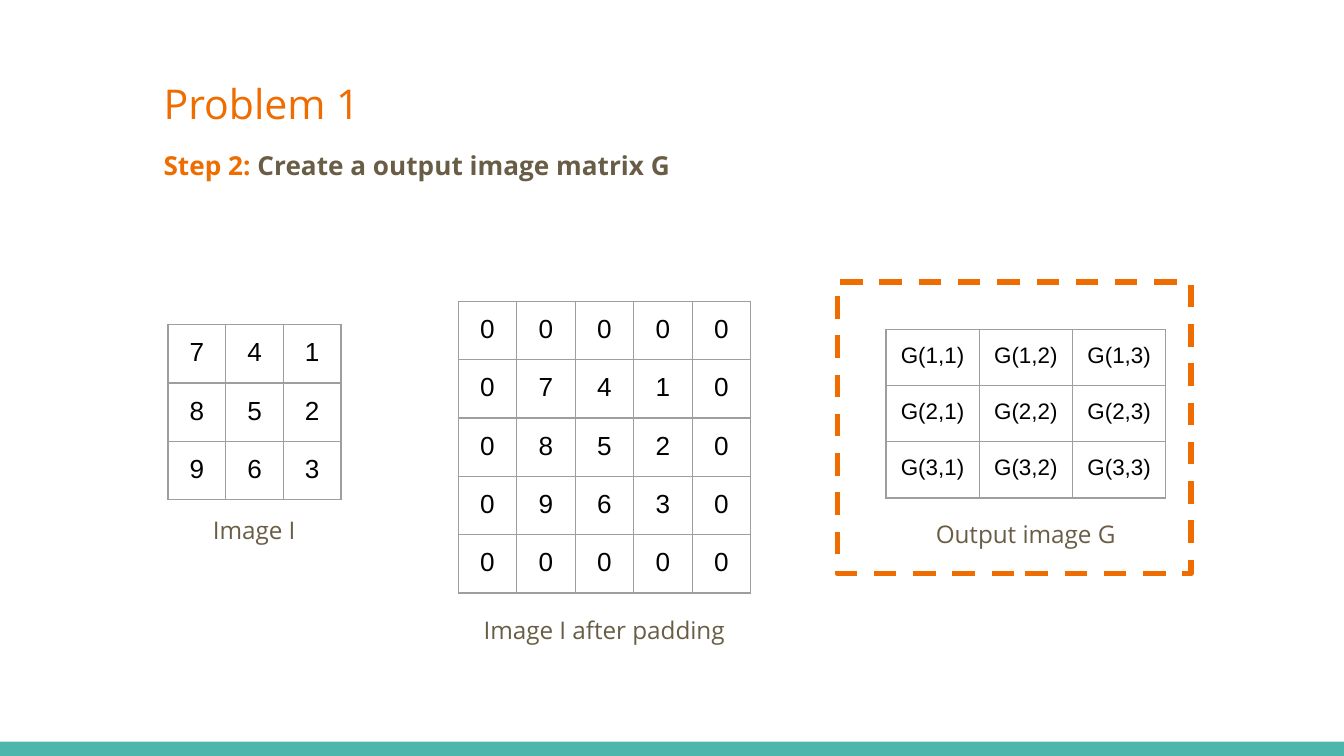
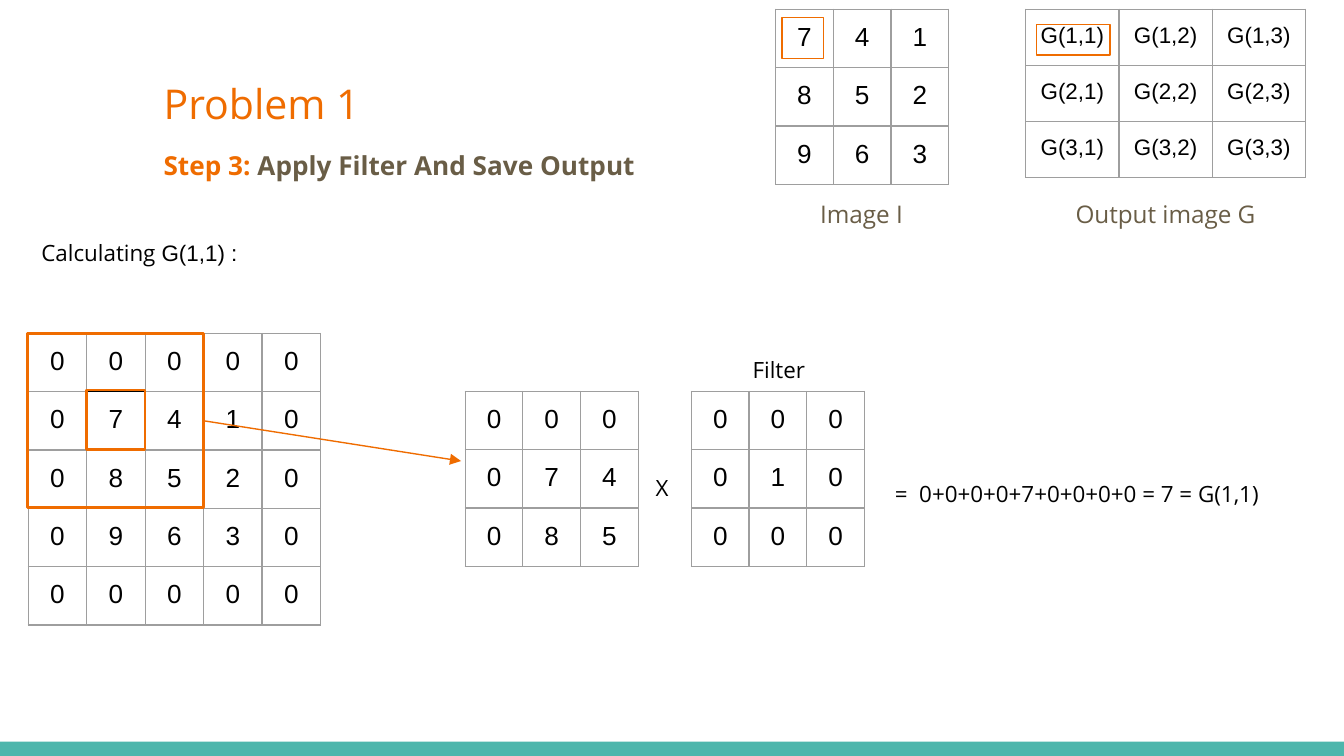
from dataclasses import dataclass
from typing import Optional, Union

from lxml import etree
from pptx import Presentation
from pptx.dml.color import RGBColor
from pptx.enum.dml import MSO_LINE
from pptx.enum.shapes import MSO_CONNECTOR, MSO_SHAPE
from pptx.enum.text import MSO_ANCHOR, PP_ALIGN
from pptx.oxml.ns import qn
from pptx.util import Pt

LEFT, CENTER, JUSTIFY = PP_ALIGN.LEFT, PP_ALIGN.CENTER, PP_ALIGN.JUSTIFY
TOP, MIDDLE = MSO_ANCHOR.TOP, MSO_ANCHOR.MIDDLE
RECTANGLE, STRAIGHT, DASH = MSO_SHAPE.RECTANGLE, MSO_CONNECTOR.STRAIGHT, MSO_LINE.DASH

COLORS = {
    "orange": "EF6C00",
    "brown": "695D46",
    "teal": "4DB6AC",
    "grid": "9E9E9E",
    "black": "000000",
}
SLIDE_WIDTH, SLIDE_HEIGHT = 720, 405
BAND_HEIGHT = 7.7
INSET = 7.2
ROW_HEIGHT = 30.1
GRID_LINE = 0.75
CAPTION_HEIGHT = 31.7
LABEL_HEIGHT = 22.3

# Character formats
TITLE = {"name": "Open Sans", "size": 22, "color": "orange"}
STEP = {"name": "Open Sans", "size": 14, "color": "orange", "bold": True}
STEP_TEXT = STEP | {"color": "brown"}
CAPTION = {"name": "Open Sans", "size": 13, "color": "brown"}
LABEL = {"name": "Open Sans", "size": 12, "color": "black"}
NUMBER = {"name": "Arial", "size": 14, "color": "black"}
ENTRY = NUMBER | {"size": 12}

Rows = list[list[str]]
Run = tuple[str, dict]

# Matrices of the exercise
IMAGE: Rows = [list("741"), list("852"), list("963")]
PADDED: Rows = [list("00000"), *(["0", *row, "0"] for row in IMAGE), list("00000")]
PATCH: Rows = [row[:3] for row in PADDED[:3]]
FILTER: Rows = [list("000"), list("010"), list("000")]
OUTPUT: Rows = [[f"G({row},{column})" for column in range(1, 4)] for row in range(1, 4)]


@dataclass
class Matrix:
    rows: Rows
    left: float
    top: float
    column_width: float = 30.9
    style: Optional[dict] = None
    marked: Optional[tuple[int, int]] = None


@dataclass
class TextBlock:
    runs: list[Run]
    left: float
    top: float
    width: float
    height: float
    align: PP_ALIGN = LEFT
    anchor: MSO_ANCHOR = TOP


@dataclass
class Frame:
    left: float
    top: float
    width: float
    height: float
    weight: float
    dash: Optional[MSO_LINE] = None


@dataclass
class Arrow:
    start: tuple[float, float]
    end: tuple[float, float]


Element = Union[Matrix, TextBlock, Frame, Arrow]


def rgb(name: str) -> RGBColor:
    return RGBColor.from_string(COLORS[name])


def add_run(paragraph, text: str, style: dict) -> None:
    run = paragraph.add_run()
    run.text = text
    for attribute, value in style.items():
        if attribute == "color":
            run.font.color.rgb = rgb(value)
        else:
            setattr(run.font, attribute, Pt(value) if attribute == "size" else value)


def set_insets(target) -> None:
    for side in ("left", "top", "right", "bottom"):
        setattr(target, f"margin_{side}", Pt(INSET))


def add_border(cell, tag: str, color: str) -> None:
    properties = cell._tc.get_or_add_tcPr()
    line = etree.SubElement(properties, qn(tag), w=str(Pt(GRID_LINE)))
    fill = etree.SubElement(line, qn("a:solidFill"))
    etree.SubElement(fill, qn("a:srgbClr"), val=COLORS[color])


def cell_edges(row: int, column: int, marked: Optional[tuple[int, int]]) -> dict[str, str]:
    """Give each border tag a colour; edges touching the marked cell are black."""
    neighbors = {
        "a:lnL": (row, column - 1),
        "a:lnR": (row, column + 1),
        "a:lnT": (row - 1, column),
        "a:lnB": (row + 1, column),
    }
    return {
        tag: "black" if marked in ((row, column), neighbor) else "grid"
        for tag, neighbor in neighbors.items()
    }


def draw_matrix(slide, matrix: Matrix) -> None:
    row_count, column_count = len(matrix.rows), len(matrix.rows[0])
    table = slide.shapes.add_table(
        row_count, column_count, Pt(matrix.left), Pt(matrix.top),
        Pt(column_count * matrix.column_width), Pt(row_count * ROW_HEIGHT),
    ).table
    table.first_row = table.horz_banding = False
    for column in table.columns:
        column.width = Pt(matrix.column_width)
    for row_index, values in enumerate(matrix.rows):
        table.rows[row_index].height = Pt(ROW_HEIGHT)
        for column_index, value in enumerate(values):
            cell = table.cell(row_index, column_index)
            set_insets(cell)
            for tag, color in cell_edges(row_index, column_index, matrix.marked).items():
                add_border(cell, tag, color)
            cell.fill.background()
            paragraph = cell.text_frame.paragraphs[0]
            paragraph.alignment = CENTER
            add_run(paragraph, value, matrix.style or NUMBER)


def draw_text(slide, block: TextBlock) -> None:
    shape = slide.shapes.add_textbox(
        Pt(block.left), Pt(block.top), Pt(block.width), Pt(block.height))
    frame = shape.text_frame
    frame.word_wrap = True
    frame.vertical_anchor = block.anchor
    set_insets(frame)
    paragraph = frame.paragraphs[0]
    paragraph.alignment = block.align
    for text, style in block.runs:
        add_run(paragraph, text, style)


def add_rectangle(slide, left: float, top: float, width: float, height: float):
    shape = slide.shapes.add_shape(RECTANGLE, Pt(left), Pt(top), Pt(width), Pt(height))
    shape.shadow.inherit = False
    return shape


def draw_frame(slide, frame: Frame) -> None:
    shape = add_rectangle(slide, frame.left, frame.top, frame.width, frame.height)
    shape.fill.background()
    shape.line.color.rgb = rgb("orange")
    shape.line.width = Pt(frame.weight)
    if frame.dash:
        shape.line.dash_style = frame.dash


def draw_arrow(slide, arrow: Arrow) -> None:
    points = [Pt(value) for value in (*arrow.start, *arrow.end)]
    connector = slide.shapes.add_connector(STRAIGHT, *points)
    connector.line.color.rgb = rgb("orange")
    connector.line.width = Pt(0.75)
    etree.SubElement(connector.line._get_or_add_ln(), qn("a:tailEnd"), type="triangle")
    etree.SubElement(connector._element.spPr, qn("a:effectLst"))


DRAWERS = {Matrix: draw_matrix, TextBlock: draw_text, Frame: draw_frame, Arrow: draw_arrow}


# Shorthands for repeated elements
def padded_matrix(left: float, top: float, marked: Optional[tuple[int, int]] = None) -> Matrix:
    return Matrix(PADDED, left, top, 31.35, marked=marked)


def output_matrix(left: float, top: float) -> Matrix:
    return Matrix(OUTPUT, left, top, 50, ENTRY)


def caption(text: str, left: float, top: float, width: float = 135.4) -> TextBlock:
    return TextBlock([(text, CAPTION)], left, top, width, CAPTION_HEIGHT, CENTER, MIDDLE)


def label(text: str, left: float, top: float, width: float, align: PP_ALIGN = LEFT) -> TextBlock:
    return TextBlock([(text, LABEL)], left, top, width, LABEL_HEIGHT, align)


def add_problem_slide(presentation, step: str, task: str, elements: list[Element]) -> None:
    slide = presentation.slides.add_slide(presentation.slide_layouts[6])
    # Bottom band
    band = add_rectangle(slide, 0, SLIDE_HEIGHT - BAND_HEIGHT, SLIDE_WIDTH, BAND_HEIGHT)
    band.fill.solid()
    band.fill.fore_color.rgb = rgb("teal")
    band.line.fill.background()
    # Title and step line
    heading = [
        TextBlock([("Problem 1", TITLE)], 80.6, 34.6, 349.2, 41, anchor=MIDDLE),
        TextBlock([(step, STEP), (f" {task}", STEP_TEXT)],
                  80.6, 72.7, 578.9, CAPTION_HEIGHT, JUSTIFY, MIDDLE),
    ]
    for element in heading + elements:
        DRAWERS[type(element)](slide, element)


def main() -> None:
    presentation = Presentation()
    presentation.slide_width, presentation.slide_height = Pt(SLIDE_WIDTH), Pt(SLIDE_HEIGHT)

    add_problem_slide(presentation, "Step 2:", "Create a output image matrix G", [
        Matrix(IMAGE, 90, 174),
        padded_matrix(245.5, 161.5),
        caption("Image I", 68.4, 267.8),
        caption("Image I after padding", 239, 321.8, 169.2),
        output_matrix(474.6, 176.5),
        caption("Output image G", 481.7, 270),
        Frame(448.6, 151.2, 189.4, 156.2, 3, DASH),
    ])

    add_problem_slide(presentation, "Step 3:", "Apply Filter And Save Output", [
        # Image and output, top right
        Matrix(IMAGE, 415.5, 5),
        caption("Image I", 393.8, 98.6),
        output_matrix(549.5, 5),
        caption("Output image G", 556.6, 98.6),
        Frame(419, 9.2, 22.3, 22.3, 0.75),
        Frame(555.1, 13, 39.6, 16.4, 0.75),
        # Padded image with the current window
        TextBlock([("Calculating ", LABEL), ("G(1,1) :", ENTRY)], 15.1, 121, 302.4, 35.3),
        padded_matrix(15.1, 178.6, marked=(1, 1)),
        Frame(46.2, 209, 31.5, 31.8, 1.5),
        Frame(14.6, 178.6, 94.3, 93.4, 1.5),
        Arrow((108.9, 225.4), (247, 247)),
        # Window times filter
        Matrix(PATCH, 249.2, 209.7),
        label("X", 344.2, 247, 24.5),
        Matrix(FILTER, 370.4, 209.7),
        label("Filter", 370.8, 183.6, 92.9, CENTER),
        label("=  0+0+0+0+7+0+0+0+0 = 7 = G(1,1)", 472.3, 249.8, 222.5),
    ])

    presentation.save("out.pptx")


if __name__ == "__main__":
    main()
